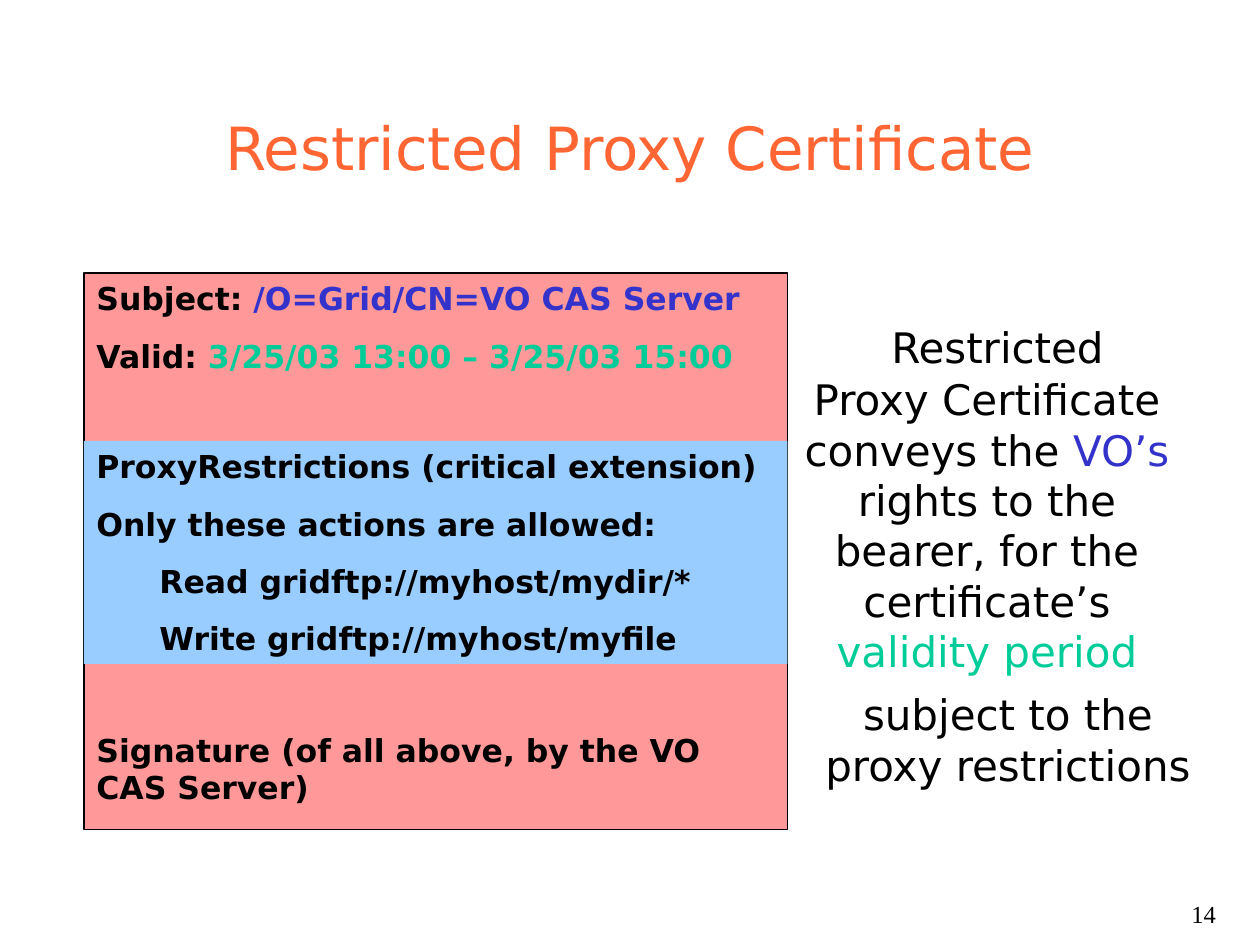
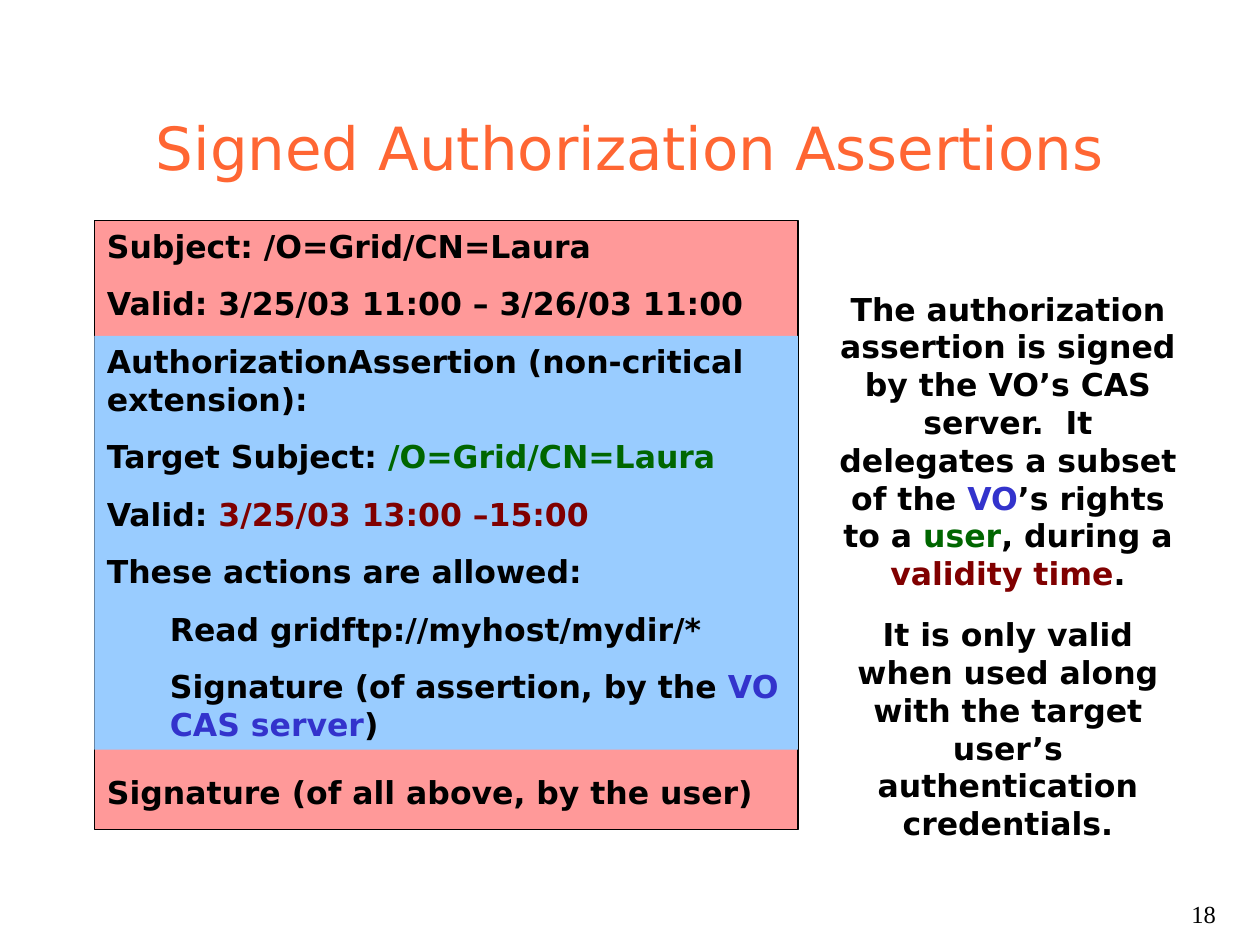
from dataclasses import dataclass

from pptx import Presentation
from pptx.dml.color import RGBColor
from pptx.enum.shapes import MSO_SHAPE as Shape
from pptx.enum.text import MSO_ANCHOR as Anchor, MSO_AUTO_SIZE as AutoSize, PP_ALIGN as Align
from pptx.util import Pt

SANS, SERIF = "DejaVu Sans", "Times New Roman"
ORANGE, BLACK, PINK, SKY = "FF6633", "000000", "FF9999", "99CCFF"
BLUE, TEAL, GREEN, MAROON = "3333CC", "00CC99", "006600", "800000"
CARD_WIDTH = 402
INDENT = 36
TITLE_ONLY = 5


@dataclass(frozen=True)
class Area:
    left: float
    top: float
    width: float
    height: float

    def lengths(self) -> tuple:
        return Pt(self.left), Pt(self.top), Pt(self.width), Pt(self.height)


@dataclass(frozen=True)
class Style:
    size: float
    bold: bool = False
    align: Align = Align.LEFT
    space_before: float = 0
    font: str = SANS
    color: str = BLACK


@dataclass(frozen=True)
class Line:
    runs: tuple
    indented: bool = False


@dataclass(frozen=True)
class Block:
    area: Area
    lines: tuple
    style: Style
    fill: str = ""


@dataclass(frozen=True)
class CertificateSlide:
    title: str
    number: str
    card: Area
    blocks: tuple


TITLE = Style(34, align=Align.CENTER, color=ORANGE)
NUMBER = Style(14, align=Align.RIGHT, font=SERIF)
FIELD = Style(18, bold=True, space_before=11.2)
NOTE = Style(18, bold=True, align=Align.CENTER)
LARGE_NOTE = Style(24, align=Align.CENTER)


def line(*runs, indented: bool = False) -> Line:
    pairs = tuple((run, "") if isinstance(run, str) else run for run in runs)
    return Line(pairs, indented)


SLIDES = (
    CertificateSlide(
        "Restricted Proxy Certificate", "14", Area(48, 156, CARD_WIDTH, 318),
        (
            Block(Area(48, 156, 414, 62), (
                line("Subject: ", ("/O=Grid/CN=VO CAS Server", BLUE)),
                line("Valid: ", ("3/25/03 13:00 – 3/25/03 15:00", TEAL)),
            ), FIELD),
            Block(Area(444, 210, 240, 180), (
                line("Proxy Certificate conveys the ", ("VO’s", BLUE),
                     " rights to the bearer, for the certificate’s ",
                     ("validity period", TEAL)),
            ), LARGE_NOTE),
            Block(Area(48, 252, CARD_WIDTH, 127.4), (
                line("ProxyRestrictions (critical extension)"),
                line("Only these actions are allowed:"),
                line("Read gridftp://myhost/mydir/*", indented=True),
                line("Write gridftp://myhost/myfile", indented=True),
            ), FIELD, SKY),
            Block(Area(48, 414, CARD_WIDTH, 50), (
                line("Signature (of all above, by the VO CAS Server)"),
            ), FIELD),
            Block(Area(450, 180, 240, 36), (line("Restricted"),), LARGE_NOTE),
            Block(Area(456, 390, 240, 65), (
                line("subject to the proxy restrictions"),
            ), LARGE_NOTE),
        ),
    ),
    CertificateSlide(
        "Signed Authorization Assertions", "18", Area(54, 126, CARD_WIDTH, 348),
        (
            Block(Area(54, 126, 414, 62), (
                line("Subject: /O=Grid/CN=Laura"),
                line("Valid: 3/25/03 11:00 – 3/26/03 11:00"),
            ), FIELD),
            Block(Area(54, 192, CARD_WIDTH, 236.4), (
                line("AuthorizationAssertion (non-critical extension):"),
                line("Target Subject: ", ("/O=Grid/CN=Laura", GREEN)),
                line("Valid: ", ("3/25/03 13:00 –15:00", MAROON)),
                line("These actions are allowed:"),
                line("Read gridftp://myhost/mydir/*", indented=True),
                line("Signature (of assertion, by the ", ("VO CAS server", BLUE), ")",
                     indented=True),
            ), FIELD, SKY),
            Block(Area(54, 438, CARD_WIDTH, 29), (
                line("Signature (of all above, by the user)"),
            ), FIELD),
            Block(Area(468, 348, 216, 115), (
                line("It is only valid when used along with the target user’s "
                     "authentication credentials."),
            ), NOTE),
            Block(Area(468, 162, 216, 158), (
                line("The authorization assertion is signed by the VO’s CAS server.  "
                     "It delegates a subset of the ", ("VO", BLUE), "’s rights to a ",
                     ("user", GREEN), ", during a ", ("validity time", MAROON), "."),
            ), NOTE),
        ),
    ),
)


def rgb(color: str) -> RGBColor:
    return RGBColor.from_string(color)


def write(shape, lines: tuple, style: Style, anchor: Anchor = Anchor.TOP) -> None:
    frame = shape.text_frame
    frame.word_wrap = True
    frame.auto_size = AutoSize.NONE
    frame.vertical_anchor = anchor
    for index, item in enumerate(lines):
        paragraph = frame.add_paragraph() if index else frame.paragraphs[0]
        paragraph.alignment = style.align
        paragraph.space_before = Pt(style.space_before if index else 0)
        if item.indented:
            paragraph.level = 1
            properties = paragraph._p.get_or_add_pPr()
            properties.set("marL", str(Pt(INDENT)))
            properties.set("indent", "0")
        for text, color in item.runs:
            run = paragraph.add_run()
            run.text = text
            run.font.name = style.font
            run.font.size = Pt(style.size)
            run.font.bold = style.bold
            run.font.color.rgb = rgb(color or style.color)


def add_panel(slide, area: Area, fill: str, outline: str = ""):
    panel = slide.shapes.add_shape(Shape.RECTANGLE, *area.lengths())
    panel.shadow.inherit = False
    panel.fill.solid()
    panel.fill.fore_color.rgb = rgb(fill)
    if outline:
        panel.line.color.rgb = rgb(outline)
        panel.line.width = Pt(0.88)
    else:
        panel.line.fill.background()
    return panel


def add_block(slide, block: Block) -> None:
    if block.fill:
        shape = add_panel(slide, block.area, block.fill)
    else:
        shape = slide.shapes.add_textbox(*block.area.lengths())
    write(shape, block.lines, block.style)


def add_title(slide, text: str) -> None:
    title = slide.shapes.title
    title.left, title.top, title.width, title.height = Area(54, 48, 612, 60).lengths()
    write(title, (line(text),), TITLE, Anchor.BOTTOM)


def add_certificate_slide(presentation, content: CertificateSlide) -> None:
    slide = presentation.slides.add_slide(presentation.slide_layouts[TITLE_ONLY])
    add_title(slide, content.title)
    add_panel(slide, content.card, PINK, BLACK)
    for block in content.blocks:
        add_block(slide, block)
    add_block(slide, Block(Area(552, 510, 150, 24), (line(content.number),), NUMBER))


def main() -> None:
    presentation = Presentation()
    presentation.slide_width, presentation.slide_height = Pt(720), Pt(540)
    for content in SLIDES:
        add_certificate_slide(presentation, content)
    presentation.save("out.pptx")


if __name__ == "__main__":
    main()
